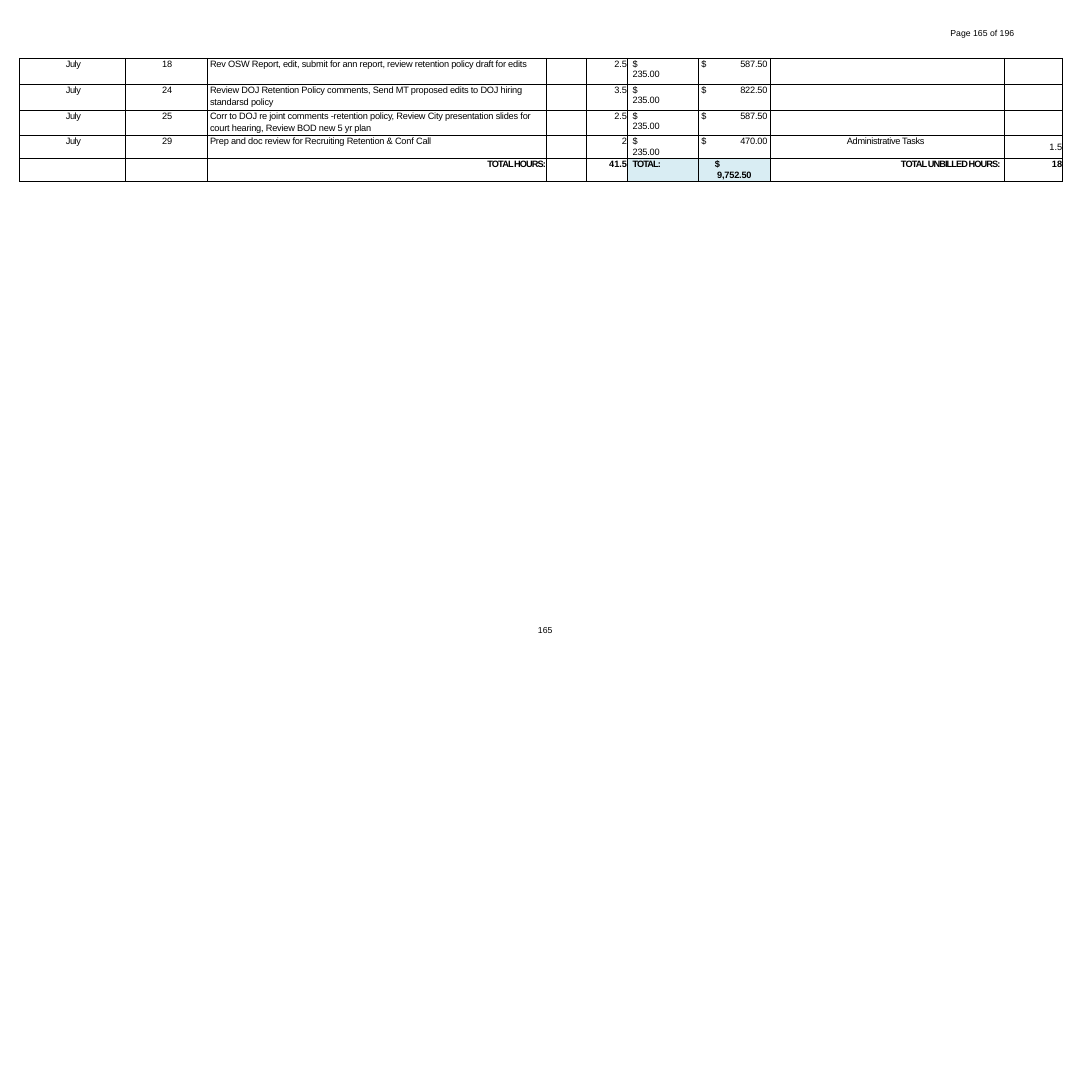
from lxml import etree
from pptx import Presentation
from pptx.dml.color import RGBColor
from pptx.enum.text import PP_ALIGN
from pptx.oxml.ns import qn
from pptx.util import Cm, Pt

LEFT, MID, RIGHT = PP_ALIGN.LEFT, PP_ALIGN.CENTER, PP_ALIGN.RIGHT
BLACK, BLUE = "000000", "D9EDF3"
COLS = [3.45, 2.67, 11.02, 1.32, 1.32, 2.31, 2.34, 7.62, 1.9]
ROWS = [0.84, 0.84, 0.84, 0.58, 0.41]
ALIGNS = [MID, LEFT, LEFT, LEFT, RIGHT, LEFT, MID, LEFT, RIGHT]
INDENTS = [0.05, 1.19, 0.08, 0, 0, 0.18, 0.03, 2.51, 0]
GAPS = [-0.4, -0.2, -0.2, 0, 0, -0.2, -0.2, -0.3, 0]
TABS = {5: 1.27, 6: 1.17}
RATE = "$\t235.00"
TASKS = [
    ["July", "18", "Rev OSW Report, edit, submit for ann report, review retention policy draft for edits",
     "", "2.5", RATE, "$\t587.50", "", ""],
    ["July", "24", "Review DOJ Retention Policy comments, Send MT proposed edits to DOJ hiring\nstandarsd policy",
     "", "3.5", RATE, "$\t822.50", "", ""],
    ["July", "25", "Corr to DOJ re joint comments -retention policy, Review City presentation slides for\n"
     "court hearing, Review BOD new 5 yr plan", "", "2.5", RATE, "$\t587.50", "", ""],
    ["July", "29", "Prep and doc review for Recruiting Retention & Conf Call",
     "", "2", RATE, "$\t470.00", "Administrative Tasks", "1.5"],
]
TOTALS = ["", "", "TOTAL HOURS:", "", "41.5", "TOTAL:", "$\t9,752.50", "TOTAL UNBILLED HOURS:", "18"]


def paint(code):
    return RGBColor.from_string(code)


def style(par, size, gap=0, bold=False):
    for run in par.runs:
        font = run.font
        font.name, font.size, font.bold = "Arial", Pt(size), bold
        font.color.rgb = paint(BLACK)
        run._r.get_or_add_rPr().set("spc", str(round(gap * 100)))
    if not par.runs:
        par._p.get_or_add_endParaRPr().set("sz", str(size * 100))


def frame(cell):
    props = cell._tc.get_or_add_tcPr()
    for side in ("lnL", "lnR", "lnT", "lnB"):
        line = etree.SubElement(props, qn("a:" + side), w=str(Pt(0.75)))
        fill = etree.SubElement(line, qn("a:solidFill"))
        etree.SubElement(fill, qn("a:srgbClr"), val=BLACK)


def fill_cell(cell, text, col, total):
    frame(cell)
    if total and col in TABS:
        cell.fill.solid()
        cell.fill.fore_color.rgb = paint(BLUE)
    else:
        cell.fill.background()
    cell.margin_left = cell.margin_right = cell.margin_bottom = 0
    cell.margin_top = Cm(0.2 if text == "1.5" else 0.03)
    cell.text_frame.text = text
    for spot, par in enumerate(cell.text_frame.paragraphs):
        par.alignment = RIGHT if total and col == 2 else ALIGNS[col]
        if spot:
            par.space_before = Pt(1.6)
        props = par._p.get_or_add_pPr()
        indent = 4.27 if total and col == 7 else INDENTS[col]
        props.set("marL", str(Cm(indent)))
        props.set("indent", "0")
        if "\t" in text:
            stop = 0.91 if total else TABS[col]
            tabs = etree.SubElement(props, qn("a:tabLst"))
            etree.SubElement(tabs, qn("a:tab"), pos=str(Cm(stop)), algn="l")
        gap = -0.85 if "TOTAL" in text else GAPS[col]
        style(par, 8.5 if text else 8, gap, total)


def add_bill(slide, left, top):
    data = TASKS + [TOTALS]
    grid = slide.shapes.add_table(len(ROWS), len(COLS), Cm(left), Cm(top),
                                  Cm(sum(COLS)), Cm(sum(ROWS))).table
    grid.first_row = grid.horz_banding = False
    for col, width in zip(grid.columns, COLS):
        col.width = Cm(width)
    for row, height in zip(grid.rows, ROWS):
        row.height = Cm(height)
    for row, texts in enumerate(data):
        for col, text in enumerate(texts):
            fill_cell(grid.cell(row, col), text, col, texts is TOTALS)


def add_label(slide, text, left, top, width, height):
    box = slide.shapes.add_textbox(Cm(left), Cm(top), Cm(width), Cm(height))
    body = box.text_frame
    body.word_wrap = True
    body.margin_right = body.margin_bottom = 0
    body.margin_left = body.margin_top = Cm(0.04)
    body.text = text
    style(body.paragraphs[0], 8)


def main():
    deck = Presentation()
    deck.slide_width, deck.slide_height = Cm(35.56), Cm(35.31)
    slide = deck.slides.add_slide(deck.slide_layouts[6])
    add_label(slide, "165", 17.48, 20.32, 0.61, 0.38)
    add_bill(slide, 0.64, 1.9)
    add_label(slide, "Page 165 of 196", 30.91, 0.86, 2.2, 0.41)
    deck.save("out.pptx")


if __name__ == "__main__":
    main()
